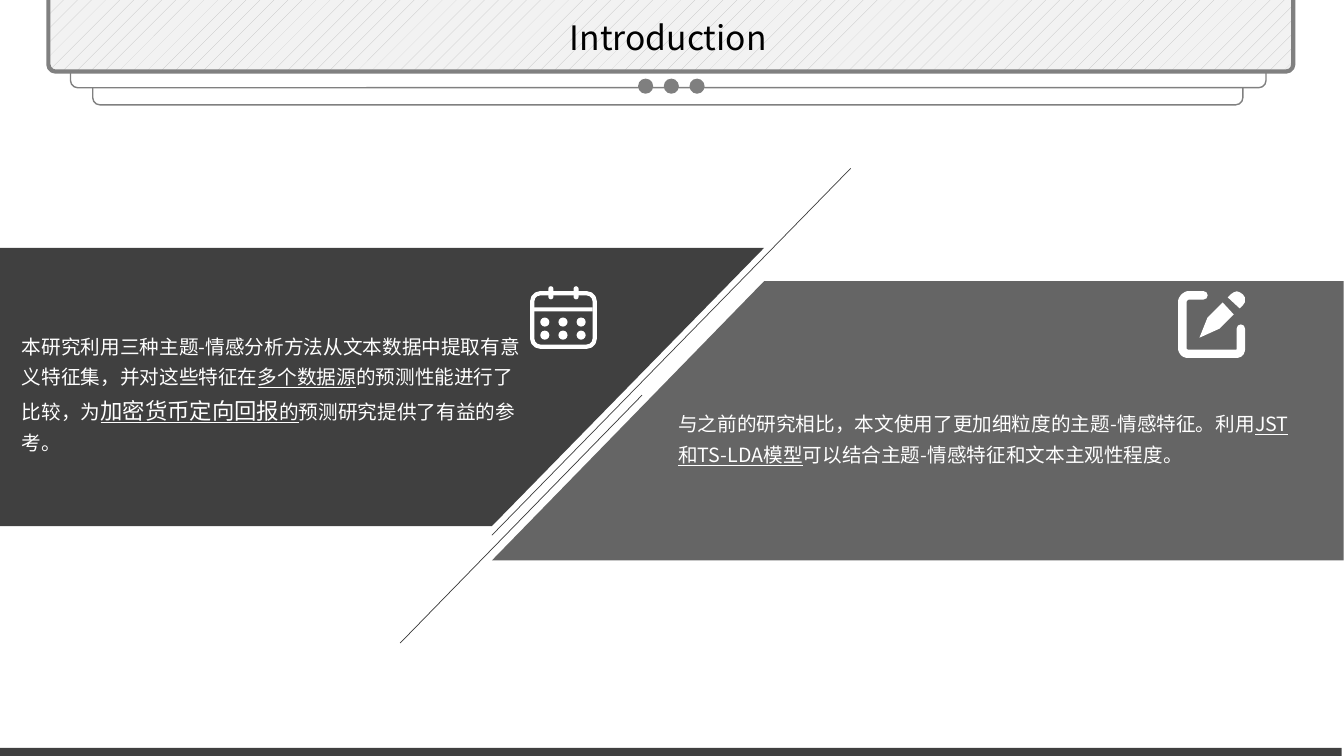
from lxml import etree
from pptx import Presentation
from pptx.dml.color import RGBColor
from pptx.enum.dml import MSO_PATTERN
from pptx.enum.shapes import MSO_CONNECTOR, MSO_SHAPE
from pptx.enum.text import MSO_AUTO_SIZE, PP_ALIGN
from pptx.oxml.ns import qn
from pptx.util import Inches, Pt

WHITE = RGBColor(0xFF, 0xFF, 0xFF)
BLACK = RGBColor(0x00, 0x00, 0x00)
PALE = RGBColor(0xF2, 0xF2, 0xF2)
HATCH = RGBColor(0xBF, 0xBF, 0xBF)
EDGE = RGBColor(0x80, 0x80, 0x80)
DOT = RGBColor(0x7F, 0x7F, 0x7F)
MID = RGBColor(0x65, 0x65, 0x65)
DARK = RGBColor(0x40, 0x40, 0x40)
INK = RGBColor(0x3A, 0x3A, 0x3A)

RECT, ROUND, OVAL = MSO_SHAPE.RECTANGLE, MSO_SHAPE.ROUNDED_RECTANGLE, MSO_SHAPE.OVAL
STRAIGHT = MSO_CONNECTOR.STRAIGHT
SPECKLE = MSO_PATTERN.PERCENT_5
GROW = MSO_AUTO_SIZE.SHAPE_TO_FIT_TEXT
LEFT, CENTER = PP_ALIGN.LEFT, PP_ALIGN.CENTER

prs = Presentation()
prs.slide_width, prs.slide_height = Inches(40 / 3), Inches(7.5)
shapes = prs.slides.add_slide(prs.slide_layouts[6]).shapes


def paint(shape, fill=None, line=None, width=1):
    shape.shadow.inherit = False
    if fill is None:
        shape.fill.background()
    else:
        shape.fill.solid()
        shape.fill.fore_color.rgb = fill
    if line is None:
        shape.line.fill.background()
    else:
        shape.line.color.rgb = line
        shape.line.width = Pt(width)
    return shape


def write(runs, box, font="Noto Sans CJK SC", color=WHITE, align=LEFT, spacing=None):
    """Add a text box; each run is (text, size, underlined)."""
    frame = shapes.add_textbox(*map(Inches, box)).text_frame
    frame.word_wrap = True
    frame.auto_size = GROW
    para = frame.paragraphs[0]
    para.alignment = align
    para.line_spacing = spacing
    for text, size, under in runs:
        run = para.add_run()
        run.text = text
        run.font.size = Pt(size)
        run.font.name = font
        run.font.underline = under
        run.font.color.rgb = color
        etree.SubElement(run.font._element, qn("a:ea")).set("typeface", font)


# Header: three stacked cards and three dots
cards = [
    (0.92, -2.86, 11.41, None, 1),
    (0.70, -3.03, 11.86, WHITE, 1),
    (0.48, -3.19, 12.35, PALE, 3),
]
for x, y, w, fill, width in cards:
    card = shapes.add_shape(ROUND, Inches(x), Inches(y), Inches(w), Inches(3.9))
    card.adjustments[0] = 0.018
    paint(card, fill, EDGE, width)
card.fill.patterned()
card.fill.pattern = SPECKLE
card.fill.fore_color.rgb = HATCH
card.fill.back_color.rgb = PALE

for i in range(3):
    dot = shapes.add_shape(OVAL, Inches(6.33 + 0.255 * i), Inches(0.78), Inches(0.15), Inches(0.15))
    paint(dot, DOT)

bar = shapes.add_shape(RECT, Inches(-0.02), Inches(7.42), Inches(13.33), Inches(0.08))
paint(bar, DARK)

# Slanted panels, then the parts of the pencil icon, in hundredths of an inch
outlines = [
    ([(758, 279), (1333, 279), (1333, 556), (488, 556)], MID),
    ([(0, 246), (758, 246), (488, 522), (0, 522)], DARK),
    ([(1224, 312), (1210, 326), (1190, 335), (1198, 315), (1213, 300)], WHITE),
    ([(1230, 306), (1218, 295), (1221, 292), (1224, 290), (1227, 289), (1230, 290),
      (1233, 292), (1235, 295), (1235, 300), (1233, 303)], WHITE),
    ([(1194, 293), (1178, 293), (1175, 295), (1173, 298), (1173, 347),
      (1175, 350), (1178, 351), (1227, 351), (1230, 350), (1231, 347), (1231, 326)], None),
]
for points, fill in outlines:
    pen = shapes.build_freeform(*points[0], scale=Inches(0.01))
    pen.add_line_segments(points[1:], close=fill is not None)
    shape = paint(pen.convert_to_shape(), fill, None if fill else WHITE, 6)
    if fill is None:
        shape.line._get_or_add_ln().set("cap", "rnd")

# Calendar icon
page = shapes.add_shape(ROUND, Inches(5.28), Inches(2.91), Inches(0.62), Inches(0.53))
page.adjustments[0] = 0.15
paint(page, None, WHITE, 3)
rule = shapes.add_shape(RECT, Inches(5.3), Inches(3.05), Inches(0.58), Inches(0.04))
paint(rule, WHITE)
for x in (5.44, 5.69):
    ring = shapes.add_shape(ROUND, Inches(x), Inches(2.84), Inches(0.05), Inches(0.13))
    ring.adjustments[0] = 0.5
    paint(ring, WHITE)
for y in (3.15, 3.28):
    for i in range(3):
        day = shapes.add_shape(OVAL, Inches(5.36 + 0.18 * i), Inches(y), Inches(0.09), Inches(0.09))
        paint(day, WHITE)

# Thin diagonals between the panels
for ends, color in [((8.44, 1.67, 4.88, 5.31), DARK), ((6.37, 3.92, 3.97, 6.38), INK)]:
    slash = shapes.add_connector(STRAIGHT, *map(Inches, ends))
    slash.line.color.rgb = color
    slash.line.width = Pt(0.5)
    etree.SubElement(slash._element.spPr, qn("a:effectLst"))

write([
    ("本研究利用三种主题-情感分析方法从文本数据中提取有意义特征集，并对这些特征在", 14, False),
    ("多个数据源", 14, True),
    ("的预测性能进行了比较，为", 14, False),
    ("加密货币定向回报", 16, True),
    ("的", 14, True),
    ("预测研究提供了有益的参考。", 14, False),
], (0.12, 3.2, 5.14, 1.38), spacing=1.3)
write([
    ("与之前的研究相比，本文使用了更加细粒度的主题-情感特征。利用", 14, False),
    ("JST和TS-LDA模型", 14, True),
    ("可以结合主题-情感特征和文本主观性程度。", 14, False),
], (6.63, 3.97, 6.43, 0.68), spacing=1.3)
write([("Introduction", 24, False)], (4.25, 0.12, 4.76, 0.5),
      font="Noto Sans CJK JP", color=BLACK, align=CENTER)

prs.save("out.pptx")
